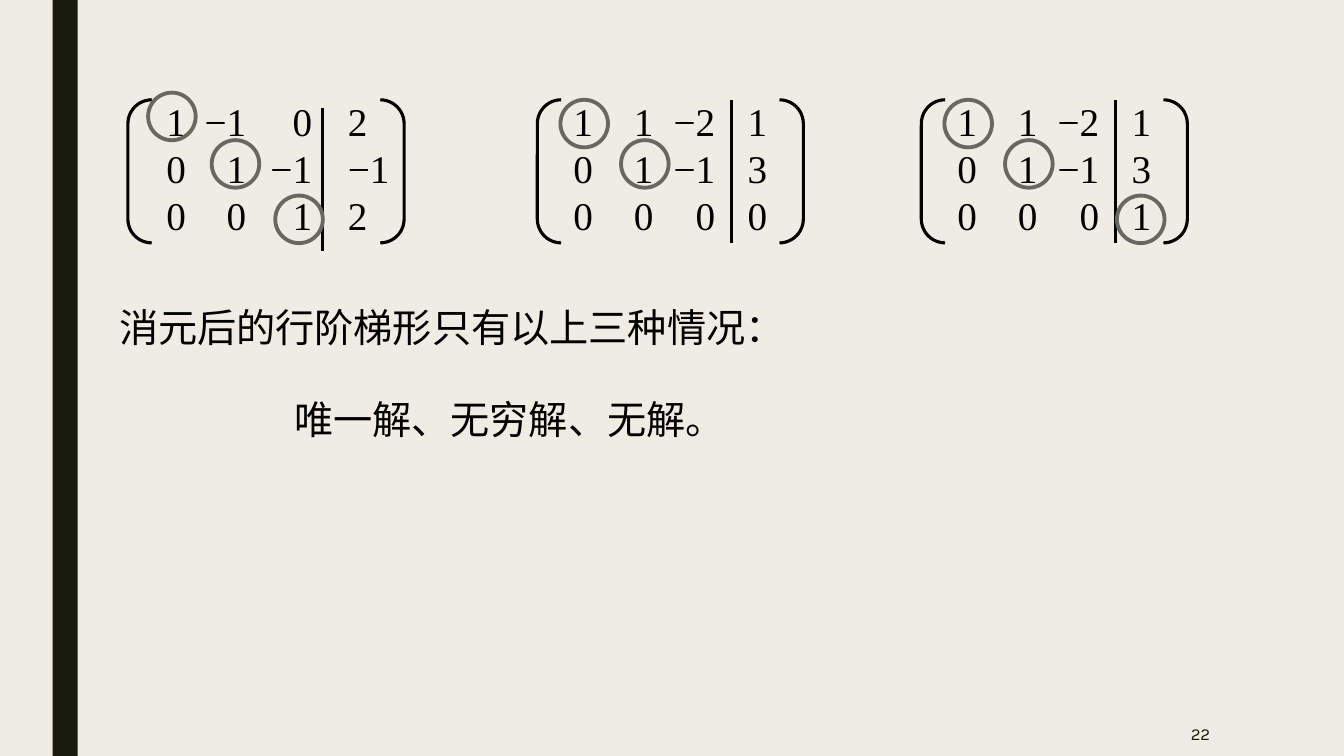
from lxml import etree
from pptx import Presentation
from pptx.dml.color import RGBColor
from pptx.enum.shapes import MSO_CONNECTOR, MSO_SHAPE
from pptx.enum.text import MSO_ANCHOR, PP_ALIGN
from pptx.oxml.ns import qn
from pptx.util import Pt

RECT, OVAL, BRACKETS = MSO_SHAPE.RECTANGLE, MSO_SHAPE.OVAL, MSO_SHAPE.DOUBLE_BRACKET
STRAIGHT = MSO_CONNECTOR.STRAIGHT
LEFT, RIGHT = PP_ALIGN.LEFT, PP_ALIGN.RIGHT
TOP, MIDDLE = MSO_ANCHOR.TOP, MSO_ANCHOR.MIDDLE

CREAM = RGBColor(0xEF, 0xED, 0xE3)
DARK = RGBColor(0x19, 0x1B, 0x0E)
GRAY = RGBColor(0x68, 0x68, 0x63)
BLACK = RGBColor(0, 0, 0)

MATRIX_TOP, MATRIX_HEIGHT = 71.3, 102.2
COLUMN_TOP, COLUMN_WIDTH, COLUMN_HEIGHT = 66.2, 40, 109
RULE_X, PIVOT_SIZE = 139, 34


class Deck:
    serif, sans = "Times New Roman", "Karla"

    def __init__(self, s):
        self.s = s
        s.background.fill.solid()
        s.background.fill.fore_color.rgb = CREAM

    def shape(self, kind, x, y, w, h, fill=None, line=None, weight=2.25):
        sp = self.s.shapes.add_shape(kind, Pt(x), Pt(y), Pt(w), Pt(h))
        sp.shadow.inherit = False
        if fill is None:
            sp.fill.background()
        else:
            sp.fill.solid()
            sp.fill.fore_color.rgb = fill
        if line is None:
            sp.line.fill.background()
        else:
            sp.line.color.rgb = line
            sp.line.width = Pt(weight)
        return sp

    def rule(self, x, y, height):
        c = self.s.shapes.add_connector(STRAIGHT, Pt(x), Pt(y), Pt(x), Pt(y + height))
        c.line.color.rgb = BLACK
        c.line.width = Pt(2.25)
        etree.SubElement(c._element.spPr, qn("a:effectLst"))

    def text(self, lines, x, y, w, h, align=LEFT, size=28, font=serif, color=BLACK, anchor=TOP):
        tf = self.s.shapes.add_textbox(Pt(x), Pt(y), Pt(w), Pt(h)).text_frame
        tf.word_wrap = True
        tf.margin_left = tf.margin_right = 0
        tf.vertical_anchor = anchor
        tf.text = "\n".join(lines)
        for p in tf.paragraphs:
            p.alignment = align
            p.font.size = Pt(size)
            p.font.name = font
            p.font.color.rgb = color
        return tf

    def matrix(self, left, width, rows, edges, constants_x, pivots, rule_top=MATRIX_TOP):
        self.shape(BRACKETS, left, MATRIX_TOP, width, MATRIX_HEIGHT, line=BLACK)
        *coefficients, constants = zip(*rows)
        for column, edge in zip(coefficients, edges):
            self.text(column, left + edge - COLUMN_WIDTH, COLUMN_TOP,
                      COLUMN_WIDTH, COLUMN_HEIGHT, RIGHT)
        self.text(constants, left + constants_x, COLUMN_TOP, COLUMN_WIDTH, COLUMN_HEIGHT)
        self.rule(left + RULE_X, rule_top, MATRIX_HEIGHT)
        for x, y in pivots:
            self.shape(OVAL, left + x, y, PIVOT_SIZE, PIVOT_SIZE, line=GRAY, weight=2.75)


prs = Presentation()
prs.slide_width, prs.slide_height = Pt(960), Pt(540)
deck = Deck(prs.slides.add_slide(prs.slide_layouts[6]))

deck.shape(RECT, 37.5, 0, 18, 540, fill=DARK)
deck.text(["22"], 746, 508.5, 118.5, 31.5, RIGHT, 12, deck.sans, DARK, MIDDLE)

deck.matrix(91.4, 197.3,
            [("1", "−1", "0", "2"), ("0", "1", "−1", "−1"), ("0", "0", "1", "2")],
            (41.4, 84.5, 131.5), 157,
            [(14.4, 66.2), (59.8, 100.1), (105.2, 139.7)], rule_top=77)

ECHELON = [("1", "1", "−2", "1"), ("0", "1", "−1", "3")]
PIVOTS = [(16.5, 71.3), (59.8, 100.1)]
for left, constant, extra in ((383.8, "0", []), (658.1, "1", [(139.7, 139.7)])):
    deck.matrix(left, 190, ECHELON + [("0", "0", "0", constant)],
                (39.7, 82.9, 127), 150.2, PIVOTS + extra)

tf = deck.text(["消元后的行阶梯形只有以上三种情况：", "唯一解、无穷解、无解。"],
               85, 213.1, 495, 109)
conclusion = tf.paragraphs[1]
conclusion.space_before = Pt(32)
conclusion._p.get_or_add_pPr().set("marL", str(Pt(125)))

prs.save("out.pptx")
